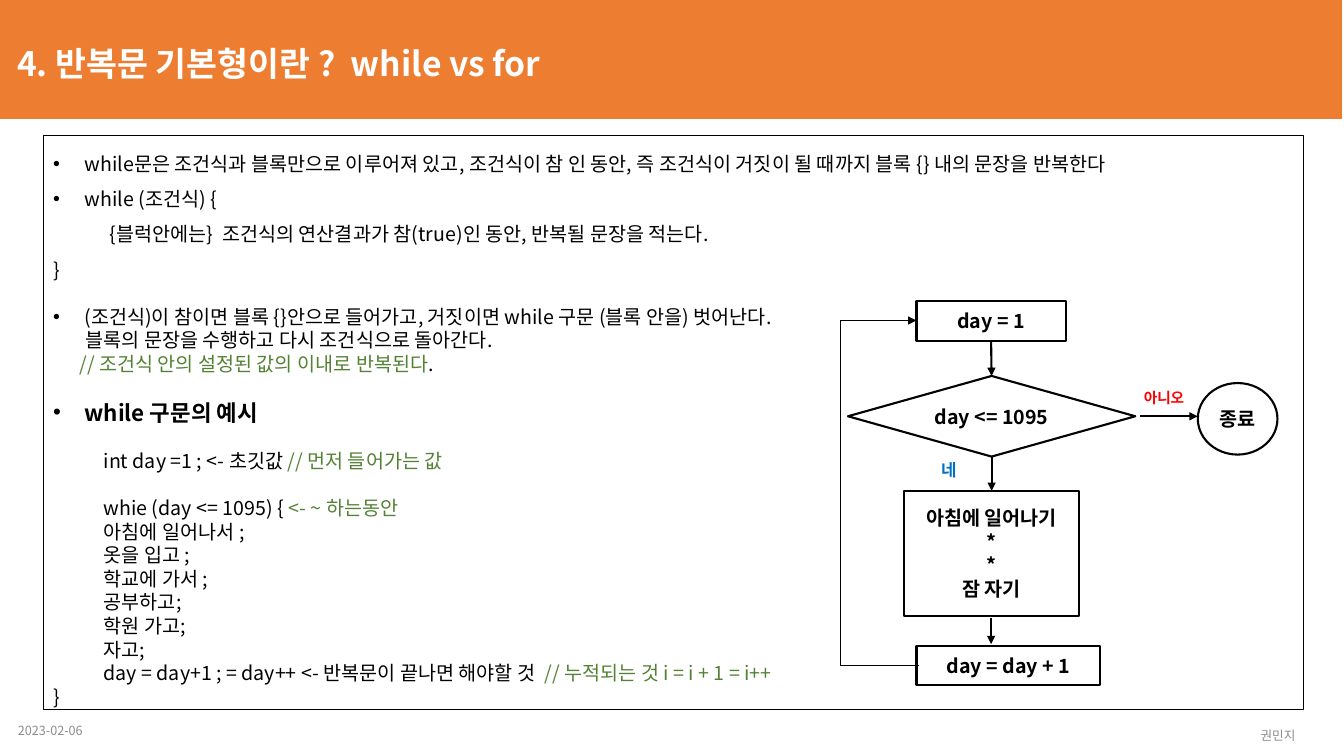
from lxml import etree
from pptx import Presentation
from pptx.dml.color import RGBColor
from pptx.enum.shapes import MSO_CONNECTOR as CONN, MSO_SHAPE as SHAPE
from pptx.enum.text import MSO_ANCHOR as ANCHOR, PP_ALIGN as ALIGN
from pptx.oxml.ns import qn
from pptx.util import Emu, Pt

PX = 9144  # 100 px to the inch
FONT = "Noto Sans CJK KR"
BLACK = RGBColor(0x00, 0x00, 0x00)
WHITE = RGBColor(0xFF, 0xFF, 0xFF)
ORANGE = RGBColor(0xED, 0x7D, 0x31)
GRAY = RGBColor(0x8C, 0x8C, 0x8C)
GREEN = RGBColor(0x54, 0x82, 0x35)
BLUE = RGBColor(0x00, 0x70, 0xC0)
RED = RGBColor(0xFF, 0x00, 0x00)
LINE = 16.8  # line pitch of 14 pt text
LOOSE = 25.2

# (runs, format): a run is text or (text, colour)
BODY = [
    (["while문은 조건식과 블록만으로 이루어져 있고, 조건식이 참 인 동안, "
      "즉 조건식이 거짓이 될 때까지 블록 {} 내의 문장을 반복한다"], {"bullet": True, "pitch": LOOSE}),
    (["while (조건식) {"], {"bullet": True, "pitch": LOOSE}),
    (["{블럭안에는}  조건식의 연산결과가 참(true)인 동안, 반복될 문장을 적는다."],
     {"indent": 56, "pitch": LOOSE}),
    (["}"], {"pitch": LOOSE}),
    (["(조건식)이 참이면 블록 {}안으로 들어가고, 거짓이면 while 구문 (블록 안을) 벗어난다."],
     {"bullet": True, "before": LINE}),
    (["블록의 문장을 수행하고 다시 조건식으로 돌아간다."], {"indent": 32}),
    ([("// 조건식 안의 설정된 값의 이내로 반복된다", GREEN), "."], {"indent": 26}),
    (["while 구문의 예시"],
     {"bullet": True, "before": LINE, "pitch": 19.2, "size": 16, "bold": True}),
    (["int day =1 ; <- 초깃값 ", ("// 먼저 들어가는 값", GREEN)], {"indent": 50, "before": LINE}),
    (["whie (day <= 1095) { ", ("<- ~ 하는동안", GREEN)], {"indent": 50, "before": LINE}),
    *[([step], {"indent": 50}) for step in (
        "아침에 일어나서 ;", "옷을 입고 ;", "학교에 가서 ;", "공부하고;", "학원 가고;", "자고;")],
    (["day = day+1 ; = day++ <- 반복문이 끝나면 해야할 것  ",
      ("// 누적되는 것 i = i + 1 = i++", GREEN)], {"indent": 50}),
    (["}"], {}),
]


def px(*lengths):
    return [Emu(n * PX) for n in lengths]


def add_run(p, text, size, color=BLACK, bold=False):
    r = p.add_run()
    r.text = text
    for name, value in {"name": FONT, "size": Pt(size), "bold": bold}.items():
        setattr(r.font, name, value)
    r.font.color.rgb = color
    latin = r.font.element.find(qn("a:latin")) if hasattr(r.font, "element") else None
    if latin is None:
        latin = r._r.rPr.find(qn("a:latin"))
    east_asian = etree.Element(qn("a:ea"), typeface=FONT)
    latin.addnext(east_asian)


def add_box(s, box, kind=SHAPE.RECTANGLE, fill=None, line=None):
    sp = s.shapes.add_shape(kind, *px(*box))
    sp.shadow.inherit = False
    if fill is None:
        sp.fill.background()
    else:
        sp.fill.solid()
        sp.fill.fore_color.rgb = fill
    if line is None:
        sp.line.fill.background()
    else:
        sp.line.color.rgb = BLACK
        sp.line.width = Pt(line)
    return sp


def header(s, box):
    x, y, w, h = box
    title = s.shapes.title
    band = add_box(s, box, fill=ORANGE)
    title.element.addprevious(band.element)
    title.left, title.top, title.width, title.height = px(x + 8, y + 38, 982, 50)
    tf = title.text_frame
    tf.word_wrap, tf.vertical_anchor = True, ANCHOR.MIDDLE
    p = tf.paragraphs[0]
    p.alignment = ALIGN.LEFT
    add_run(p, "4. 반복문 기본형이란 ?  while vs for", 24, WHITE, True)


def explanation(s, box):
    sp = add_box(s, box, line=0.75)
    tf = sp.text_frame
    tf.word_wrap, tf.vertical_anchor = True, ANCHOR.TOP
    for i, (runs, fmt) in enumerate(BODY):
        p = tf.paragraphs[0] if i == 0 else tf.add_paragraph()
        p.alignment = ALIGN.LEFT
        p.line_spacing = Pt(fmt.get("pitch", LINE))
        p.space_before = Pt(fmt.get("before", 0))
        pPr = p._p.get_or_add_pPr()
        bullet = fmt.get("bullet", False)
        indent = 31 if bullet else fmt.get("indent", 0)
        pPr.set("marL", str(indent * PX))
        pPr.set("indent", str(-indent * PX if bullet else 0))
        if bullet:
            etree.SubElement(pPr, qn("a:buFont"), typeface="Arial")
            etree.SubElement(pPr, qn("a:buChar"), char="•")
        for run in runs:
            text, color = (run, BLACK) if isinstance(run, str) else run
            add_run(p, text, fmt.get("size", 14), color, fmt.get("bold", False))


def add_node(s, box, lines, kind=SHAPE.RECTANGLE, size=14, color=BLACK, line=1.5):
    sp = add_box(s, box, kind, line=line)
    tf = sp.text_frame
    tf.word_wrap, tf.vertical_anchor = True, ANCHOR.MIDDLE
    for side in ("left", "right", "top", "bottom"):
        setattr(tf, f"margin_{side}", 0)
    for i, text in enumerate(lines):
        p = tf.paragraphs[0] if i == 0 else tf.add_paragraph()
        p.alignment = ALIGN.CENTER
        p.line_spacing = Pt(size * 1.2)
        add_run(p, text, size, color, True)
    return sp


def add_arrow(s, ends, kind=CONN.STRAIGHT, width=1.5):
    arrow = s.shapes.add_connector(kind, *px(*ends))
    arrow.line.color.rgb = BLACK
    arrow.line.width = Pt(width)
    etree.SubElement(arrow.line._get_or_add_ln(), qn("a:tailEnd"), type="triangle")
    etree.SubElement(arrow.element.spPr, qn("a:effectLst"))
    return arrow


def flowchart(s, box):
    x, y, w, h = box
    mid = x + 149
    start = add_node(s, (x + 75, y, 148, 39), ["day = 1"])
    test = add_node(s, (x + 7, y + 74, 285, 80), ["day <= 1095"], SHAPE.DIAMOND)
    add_node(s, (x + 75, y + h - 39, 182, 39), ["day = day + 1"])
    day = add_node(s, (x + 63, y + 188, 173, 124), ["아침에 일어나기", "*", "*", "잠 자기"])
    circle = SHAPE.FLOWCHART_CONNECTOR
    add_node(s, (x + w - 79, y + 81, 79, 71), ["종료"], circle)
    add_node(s, (x + 83, y + 153, 48, 29), ["네"], circle, 12, BLUE, None)
    add_node(s, (x + 258, y + 81, 125, 29), ["아니오"], circle, 10.5, RED, None)

    for upper, lower in ((start, test), (test, day)):
        arrow = add_arrow(s, (mid, y, mid, y + 1))
        arrow.begin_connect(upper, 2)
        arrow.end_connect(lower, 0)
    add_arrow(s, (mid, y + 314, mid, y + 340))
    add_arrow(s, (x + 297, y + 114, x + 354, y + 114))
    loop = add_arrow(s, (x + 77, y + h - 20, x + 75, y + 19), CONN.ELBOW, 0.5)
    # the bend lies 77 px left of the start, as a share of the 2 px width
    guides = loop.element.spPr.find(qn("a:prstGeom")).get_or_add_avLst()
    etree.SubElement(guides, qn("a:gd"), name="adj1", fmla=f"val {77 * 100000 // 2}")


def footer(s, box, text, align):
    tf = s.shapes.add_textbox(*px(*box)).text_frame
    tf.word_wrap, tf.vertical_anchor = True, ANCHOR.MIDDLE
    p = tf.paragraphs[0]
    p.alignment = align
    add_run(p, text, 9, GRAY)


def main():
    prs = Presentation()
    prs.slide_width, prs.slide_height = px(1333, 750)
    s = prs.slides.add_slide(prs.slide_layouts[5])
    header(s, (-1, 0, 1332, 118))
    footer(s, (8, 705, 300, 40), "2023-02-06", ALIGN.LEFT)
    footer(s, (1203, 710, 129, 40), "권민지", ALIGN.CENTER)
    explanation(s, (43, 134, 1250, 570))
    flowchart(s, (834, 299, 433, 381))
    prs.save("out.pptx")


if __name__ == "__main__":
    main()
